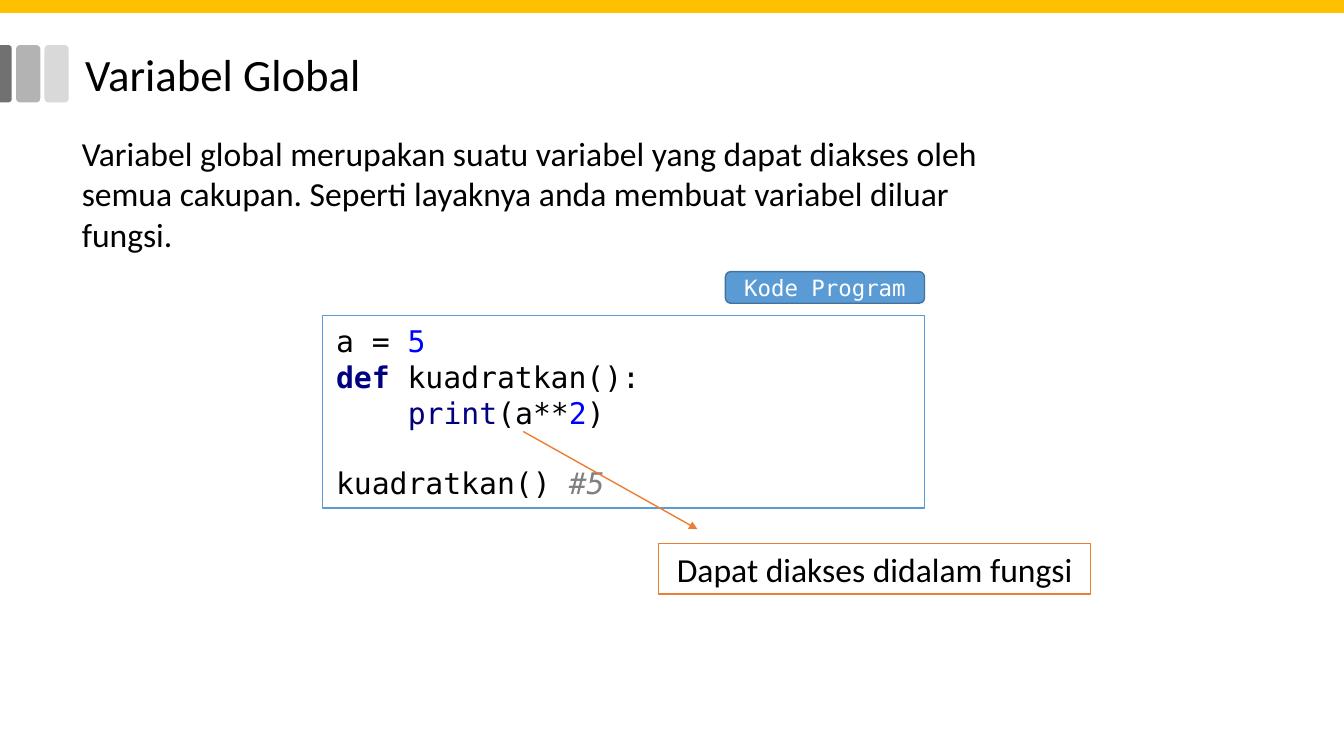
from pptx import Presentation
from pptx.util import Pt
from pptx.dml.color import RGBColor as Rgb
from pptx.enum.shapes import MSO_SHAPE as Form, MSO_CONNECTOR as Link
from pptx.enum.text import PP_ALIGN as Align, MSO_ANCHOR as Anchor, MSO_AUTO_SIZE as Fit
from pptx.oxml.ns import qn
from lxml.etree import SubElement as Sub

HUE = {
    "text": "000000", "white": "FFFFFF", "gold": "FFC000",
    "light": "D9D9D9", "mid": "B3B3B3", "dark": "717171",
    "blue": "5B9BD5", "edge": "43729D", "orange": "ED7D31",
    "digit": "0000FF", "word": "000080", "note": "808080",
}
SANS, MONO = "Calibri", "DejaVu Sans Mono"

# Each code line: indent in characters, space before in lines, runs
CODE = [
    (0, 0, [("a = ", "text"), ("5", "digit")]),
    (0, 0, [("def ", "word", "bold"), ("kuadratkan():", "text")]),
    (4, 0, [("print", "word"), ("(a**", "text"), ("2", "digit"), (")", "text")]),
    (0, 1, [("kuadratkan() ", "text"), ("#5", "note", "italic")]),
]
CODE_SIZE = 21.3
CHAR, LINE = 0.602 * CODE_SIZE, 1.164 * CODE_SIZE


class Page:
    """Holds the slide and its style."""

    def __init__(self, deck):
        self.slide = deck.slides.add_slide(deck.slide_layouts[1])
        self.shapes = self.slide.shapes

    def hue(self, name):
        return Rgb.from_string(HUE[name])

    def frame(self, shape, pad, anchor):
        frame = shape.text_frame
        frame.word_wrap, frame.auto_size = True, Fit.NONE
        frame.vertical_anchor = anchor
        frame.margin_left = frame.margin_right = Pt(pad[0])
        frame.margin_top = frame.margin_bottom = Pt(pad[1])
        return frame

    def style(self, para, font, size, hue="text", align=Align.LEFT, gap=1.0):
        para.alignment, para.line_spacing = align, gap
        para.space_before = para.space_after = Pt(0)
        para.font.name, para.font.size = font, Pt(size)
        para.font.color.rgb = self.hue(hue)

    def holder(self, shape, box, text, size, pad, gap=1.0):
        shape.left, shape.top, shape.width, shape.height = map(Pt, box)
        para = self.frame(shape, pad, Anchor.TOP).paragraphs[0]
        para.text = text
        self.style(para, SANS, size, gap=gap)
        return para

    def title(self, box, text):
        self.holder(self.shapes.title, box, text, 32, (9.6, 9.6), 0.9)

    def body(self, box, text):
        para = self.holder(self.slide.placeholders[1], box, text, 24, (7.2, 3.6))
        prop = para._p.get_or_add_pPr()
        prop.set("marL", "0")
        prop.set("indent", "0")
        Sub(prop, qn("a:buNone"))

    def shape(self, form, box, fill=None, line=None, adj=(), turn=0):
        item = self.shapes.add_shape(form, *map(Pt, box))
        item.shadow.inherit = False
        item.rotation = turn
        for i, value in enumerate(adj):
            item.adjustments[i] = value
        if fill:
            item.fill.solid()
            item.fill.fore_color.rgb = self.hue(fill)
        else:
            item.fill.background()
        if line:
            item.line.color.rgb = self.hue(line)
            item.line.width = Pt(1)
        else:
            item.line.fill.background()
        return item

    def label(self, item, text, font, size, hue="text", anchor=Anchor.TOP):
        para = self.frame(item, (7.2, 3.6), anchor).paragraphs[0]
        para.text = text
        self.style(para, font, size, hue, Align.CENTER)

    def code(self, box, lines):
        item = self.shape(Form.RECTANGLE, box, "white", "blue")
        frame = self.frame(item, (9.6, 4.8), Anchor.MIDDLE)
        for i, (indent, skip, runs) in enumerate(lines):
            para = frame.add_paragraph() if i else frame.paragraphs[0]
            self.style(para, MONO, CODE_SIZE)
            para.space_before = Pt(skip * LINE)
            para._p.get_or_add_pPr().set("marL", str(Pt(indent * CHAR)))
            for text, hue, *marks in runs:
                run = para.add_run()
                run.text = text
                run.font.color.rgb = self.hue(hue)
                for mark in marks:
                    setattr(run.font, mark, True)

    def arrow(self, ends, hue):
        item = self.shapes.add_connector(Link.STRAIGHT, *map(Pt, ends))
        item.line.color.rgb = self.hue(hue)
        item.line.width = Pt(1)
        prop = item.element.spPr
        Sub(prop.find(qn("a:ln")), qn("a:tailEnd"), type="triangle")
        Sub(prop, qn("a:effectLst"))


def main():
    deck = Presentation()
    deck.slide_width, deck.slide_height = Pt(960), Pt(540)
    page = Page(deck)

    # Top band and title tabs
    page.shape(Form.RECTANGLE, (0, -2.2, 960, 11.5), "gold")
    for i, hue in enumerate(("mid", "light")):
        page.shape(Form.ROUNDED_RECTANGLE, (11.5 + 20.3 * i, 32.2, 17.3, 41),
                   hue, adj=[0.167])
    page.shape(Form.ROUND_2_SAME_RECTANGLE, (-16.4, 48.4, 41, 8.6), "dark",
               adj=[0.292, 0], turn=90)

    # Title and explanation
    page.title((51.2, 28.1, 828, 104.4), "Variabel Global")
    page.body((51.2, 91.4, 700, 93.6),
              "Variabel global merupakan suatu variabel yang dapat diakses oleh "
              "semua cakupan. Seperti layaknya anda membuat variabel diluar fungsi.")

    # Code box with its tag
    page.code((230.4, 225.5, 430, 137.4), CODE)
    tag = page.shape(Form.ROUNDED_RECTANGLE, (518.2, 194, 142.2, 22.6),
                     "blue", "edge", [0.167])
    page.label(tag, "Kode Program", MONO, 16, "white", Anchor.MIDDLE)

    # Callout
    page.arrow((373.7, 308.2, 498.2, 378), "orange")
    note = page.shape(Form.RECTANGLE, (470.6, 388.2, 308.4, 36.2), line="orange")
    page.label(note, "Dapat diakses didalam fungsi", SANS, 24)

    deck.save("out.pptx")


if __name__ == "__main__":
    main()
